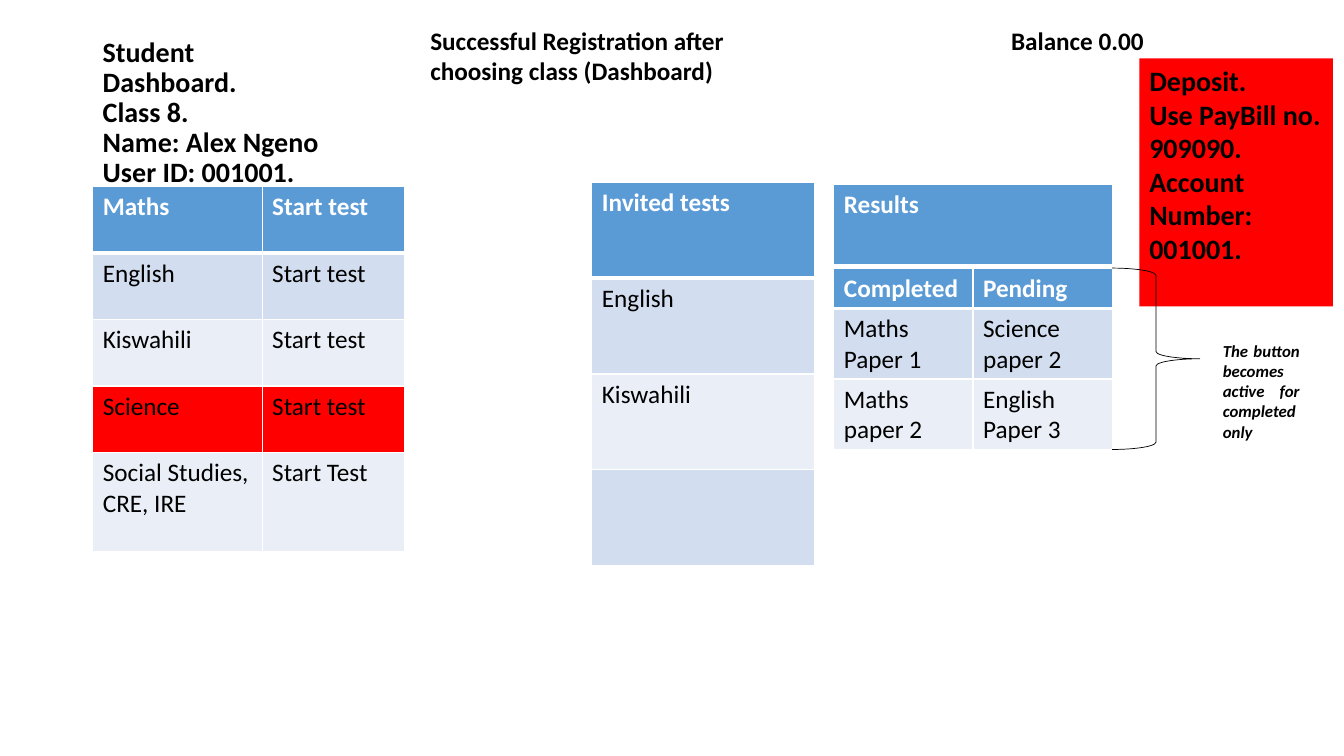
from dataclasses import dataclass

from lxml import etree
from pptx import Presentation
from pptx import util as u
from pptx.dml.color import RGBColor
from pptx.enum import shapes, text
from pptx.oxml import ns

PX = 9144  # EMU in one px, 100 px to the inch


@dataclass(frozen=True)
class Theme:
    font: str = "Calibri"
    ink: str = "000000"
    paper: str = "FFFFFF"
    header: str = "5B9BD5"
    bands: tuple = ("D2DEEF", "EAEFF7")
    alert: str = "FF0000"
    large: int = 20
    body: int = 18
    note: int = 12
    grid: int = 1
    header_rule: int = 3
    brace: float = 0.5


class Dashboard:
    def __init__(self, presentation, theme):
        self.theme = theme
        self.slide = presentation.slides.add_slide(presentation.slide_layouts[6])

    def px(self, *lengths):
        return [u.Emu(length * PX) for length in lengths]

    def add_text(self, frame, paragraphs, size, color=None, bold=True, italic=False,
                 align=text.PP_ALIGN.LEFT, spacing=None):
        """Each paragraph is a list of lines, parted by line breaks."""
        for index, lines in enumerate(paragraphs):
            paragraph = frame.paragraphs[0] if index == 0 else frame.add_paragraph()
            paragraph.alignment = align
            if spacing:
                paragraph.line_spacing = spacing
            for number, line in enumerate(lines):
                if number:
                    paragraph.add_line_break()
                run = paragraph.add_run()
                run.text = line
                font = run.font
                font.name, font.size = self.theme.font, u.Pt(size)
                font.bold, font.italic = bold, italic
                font.color.rgb = RGBColor.from_string(color or self.theme.ink)

    def label(self, box, paragraphs, size, anchor=text.MSO_ANCHOR.TOP, **style):
        frame = self.slide.shapes.add_textbox(*self.px(*box)).text_frame
        frame.word_wrap = True
        frame.vertical_anchor = anchor
        self.add_text(frame, paragraphs, size, **style)

    def panel(self, box, paragraphs, size, fill):
        shape = self.slide.shapes.add_shape(shapes.MSO_SHAPE.RECTANGLE, *self.px(*box))
        shape.shadow.inherit = False
        shape.fill.solid()
        shape.fill.fore_color.rgb = RGBColor.from_string(fill)
        shape.line.fill.background()
        shape.text_frame.word_wrap = True
        shape.text_frame.vertical_anchor = text.MSO_ANCHOR.TOP
        self.add_text(shape.text_frame, paragraphs, size)

    def brace(self, box):
        shape = self.slide.shapes.add_shape(shapes.MSO_SHAPE.RIGHT_BRACE, *self.px(*box))
        shape.shadow.inherit = False
        shape.fill.background()
        shape.line.color.rgb = RGBColor.from_string(self.theme.ink)
        shape.line.width = u.Pt(self.theme.brace)

    def borders(self, cell, is_header):
        widths = {"lnL": self.theme.grid, "lnR": self.theme.grid}
        if is_header:
            widths["lnT"] = self.theme.grid
        widths["lnB"] = self.theme.header_rule if is_header else self.theme.grid
        properties = cell._tc.get_or_add_tcPr()
        for index, (side, width) in enumerate(widths.items()):
            line = etree.Element(ns.qn(f"a:{side}"), w=str(u.Pt(width)))
            fill = etree.SubElement(line, ns.qn("a:solidFill"))
            etree.SubElement(fill, ns.qn("a:srgbClr"), val=self.theme.paper)
            properties.insert(index, line)

    def table(self, left, top, widths, heights, rows, alert_row=None):
        theme = self.theme
        box = self.px(left, top, sum(widths), sum(heights))
        table = self.slide.shapes.add_table(len(rows), len(widths), *box).table
        for column, width in zip(table.columns, self.px(*widths)):
            column.width = width
        for row, height in zip(table.rows, self.px(*heights)):
            row.height = height
        for r, values in enumerate(rows):
            is_header = r == 0
            fill = theme.header if is_header else theme.bands[(r - 1) % 2]
            if r == alert_row:
                fill = theme.alert
            for c, value in enumerate(values):
                cell = table.cell(r, c)
                cell.fill.solid()
                cell.fill.fore_color.rgb = RGBColor.from_string(fill)
                self.borders(cell, is_header)
                if value:
                    self.add_text(cell.text_frame, [[value]], theme.body, bold=is_header,
                                  color=theme.paper if is_header else theme.ink)


def main():
    presentation = Presentation()
    presentation.slide_width, presentation.slide_height = u.Emu(1333 * PX), u.Emu(750 * PX)
    theme = Theme()
    board = Dashboard(presentation, theme)

    # Student details
    board.label((92, 40, 248, 145),
                [["Student Dashboard.", "Class 8. ", "Name: Alex Ngeno", "User ID: 001001."]],
                theme.large, anchor=text.MSO_ANCHOR.MIDDLE, spacing=0.9)

    # Subjects
    board.table(92, 185, (168, 141), (66, 66, 66, 66, 98), [
        ("Maths", "Start test"),
        ("English", "Start test"),
        ("Kiswahili", "Start test"),
        ("Science", "Start test"),
        ("Social Studies, CRE, IRE", "Start Test"),
    ], alert_row=3)

    # Results heading and invited tests
    board.table(827, 183, (276,), (81,), [("Results",)])
    board.table(587, 181, (221,), (95,) * 4,
                [("Invited tests",), ("English",), ("Kiswahili",), ("",)])

    # Deposit, page heading and balance
    board.panel((1130, 58, 192, 246),
                [["Deposit."], ["Use PayBill no. 909090. Account Number: 001001."]],
                theme.large, theme.alert)
    board.label((417, 20, 380, 71),
                [["Successful Registration after choosing class (Dashboard)"]], theme.body)
    board.label((993, 20, 164, 40), [["Balance 0.00"]], theme.body)

    # Results with explanation
    board.table(827, 266, (138, 138), (40, 70, 70), [
        ("Completed", "Pending"),
        ("Maths Paper 1", "Science paper 2"),
        ("Maths paper 2", "English Paper 3"),
    ])
    board.brace((1103, 266, 87, 180))
    board.label((1203, 333, 96, 131), [["The button becomes active for completed only"]],
                theme.note, italic=True, align=text.PP_ALIGN.JUSTIFY)

    presentation.save("out.pptx")


if __name__ == "__main__":
    main()
